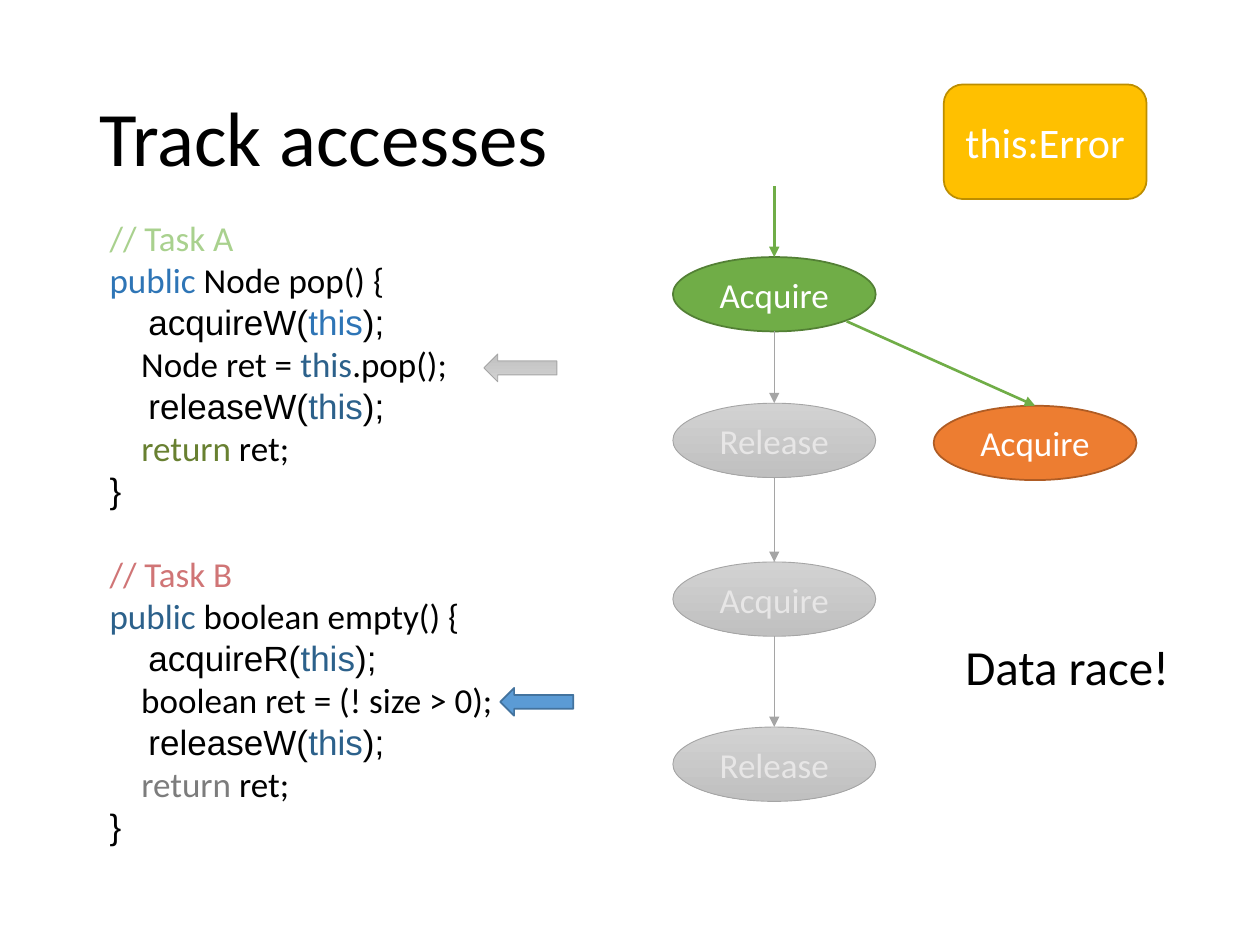
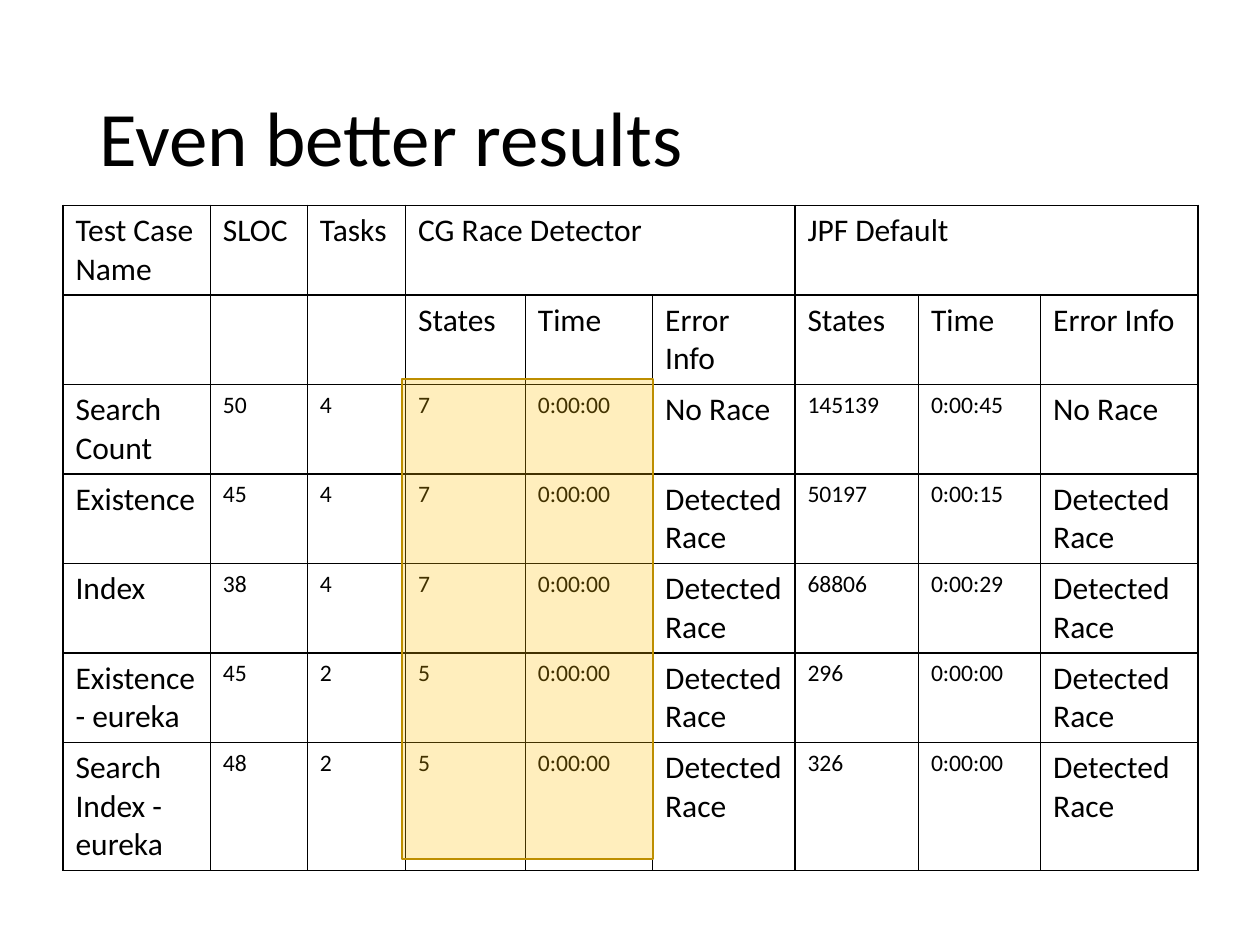
from lxml import etree
from pptx import Presentation
from pptx import util as u
from pptx.dml.color import RGBColor
from pptx.enum import shapes, text
from pptx.oxml.ns import qn

FONT, CODE_FONT = "Calibri", "Arial"
BLACK, WHITE = "000000", "FFFFFF"
GREEN, GREEN_EDGE = "70AD47", "538035"
ORANGE, ORANGE_EDGE = "ED7D31", "AF5C24"
GOLD, GOLD_EDGE = "FFC000", "BD8E00"
BLUE, BLUE_EDGE = "5B9BD5", "43739E"
GREY_TOP, GREY_BOTTOM, GREY_EDGE, GREY_TEXT = "D2D2D2", "C0C0C0", "A5A5A5", "E7E6E6"
BRIGHT_KEYWORD, KEYWORD = "2E75B6", "2C618B"

NODE_SIZE = (1.61, 0.59)
TRACE_LEFT = 5.34
TRACE_X = TRACE_LEFT + NODE_SIZE[0] / 2


def task_call(name, keyword=KEYWORD):
    return CODE_FONT, [(f"    {name}(", BLACK), ("this", keyword), (");", BLACK)]


CLOSING_BRACE = (CODE_FONT, [("}", BLACK)])
TASK_A = [
    (FONT, [("// Task A", "A9D18E")]),
    (FONT, [("public", BRIGHT_KEYWORD), (" Node pop() {", BLACK)]),
    task_call("acquireW", BRIGHT_KEYWORD),
    (FONT, [("    Node ret = ", BLACK), ("this", KEYWORD), (".pop();", BLACK)]),
    task_call("releaseW"),
    (FONT, [("    ", BLACK), ("return", "688031"), (" ret;", BLACK)]),
    CLOSING_BRACE,
]
TASK_B = [
    (FONT, [("// Task B", "D07576")]),
    (FONT, [("public ", KEYWORD), ("boolean empty() {", BLACK)]),
    task_call("acquireR"),
    (FONT, [("    boolean ret = (! size > 0);", BLACK)]),
    task_call("releaseW"),
    (FONT, [("    ", BLACK), ("return ", "7C7C7C"), ("ret;", BLACK)]),
    CLOSING_BRACE,
]

COLUMN_WIDTHS = [1.17, 0.77, 0.78, 0.95, 1.01, 1.13, 0.98, 0.97, 1.25]
ROW_HEIGHTS = [0.64] * 6 + [0.92]
MEASURE_COLUMNS = {1, 2, 3, 4, 6, 7}
HEADER_ROWS = 2
NO_RACE, RACE = "No Race", "Detected Race"
RESULTS = [
    ["Test Case Name", "SLOC", "Tasks", "CG Race Detector", "", "", "JPF Default", "", ""],
    ["", "", ""] + ["States", "Time", "Error Info"] * 2,
    ["Search Count", "50", "4", "7", "0:00:00", NO_RACE, "145139", "0:00:45", NO_RACE],
    ["Existence", "45", "4", "7", "0:00:00", RACE, "50197", "0:00:15", RACE],
    ["Index", "38", "4", "7", "0:00:00", RACE, "68806", "0:00:29", RACE],
    ["Existence - eureka", "45", "2", "5", "0:00:00", RACE, "296", "0:00:00", RACE],
    ["Search Index - eureka", "48", "2", "5", "0:00:00", RACE, "326", "0:00:00", RACE],
]


def rgb(hex_color):
    return RGBColor.from_string(hex_color)


def inches(*lengths):
    return [u.Inches(length) for length in lengths]


def format_run(run, size, color=BLACK, font=FONT):
    run.font.size = u.Pt(size)
    run.font.name = font
    run.font.color.rgb = rgb(color)


def write(frame, words, size, color=BLACK, align=text.PP_ALIGN.LEFT):
    frame.text = words
    paragraph = frame.paragraphs[0]
    paragraph.alignment = align
    for run in paragraph.runs:
        format_run(run, size, color)


def add_titled_slide(prs, words):
    slide = prs.slides.add_slide(prs.slide_layouts[5])
    title = slide.shapes.title
    title.left, title.top, title.width, title.height = inches(0.69, 0.4, 8.62, 1.45)
    frame = title.text_frame
    frame.auto_size = text.MSO_AUTO_SIZE.NONE
    frame.vertical_anchor = text.MSO_ANCHOR.MIDDLE
    write(frame, words, 44)
    frame.paragraphs[0].line_spacing = 0.9
    return slide


def add_figure(slide, preset, box, fill, edge, edge_width=1):
    """Add a preset shape; a fill of None means the faded grey gradient."""
    figure = slide.shapes.add_shape(preset, *inches(*box))
    figure.shadow.inherit = False
    if fill:
        figure.fill.solid()
        figure.fill.fore_color.rgb = rgb(fill)
    else:
        figure.fill.gradient()
        figure.fill.gradient_angle = 270
        for stop, color in zip(figure.fill.gradient_stops, (GREY_TOP, GREY_BOTTOM)):
            stop.color.rgb = rgb(color)
    figure.line.color.rgb = rgb(edge)
    figure.line.width = u.Pt(edge_width)
    return figure


def label(figure, words, size, color):
    figure.text_frame.word_wrap = True
    figure.text_frame.vertical_anchor = text.MSO_ANCHOR.MIDDLE
    write(figure.text_frame, words, size, color, text.PP_ALIGN.CENTER)


def add_node(slide, words, left, top, fill, edge):
    node = add_figure(slide, shapes.MSO_SHAPE.OVAL, (left, top, *NODE_SIZE),
                      fill, edge, 1 if fill else 0.5)
    label(node, words, 20, WHITE if fill else GREY_TEXT)


    return node


def add_arrow_to(slide, start, node, color, width):
    """Draw an arrow from a point to the top of a node."""
    arrow = slide.shapes.add_connector(
        shapes.MSO_CONNECTOR.STRAIGHT, *inches(*start), node.left, node.top)
    arrow.end_connect(node, 0)
    arrow.line.color.rgb = rgb(color)
    arrow.line.width = u.Pt(width)
    properties = arrow.element.spPr
    etree.SubElement(properties.find(qn("a:ln")), qn("a:tailEnd"), type="triangle")
    etree.SubElement(properties, qn("a:effectLst"))


def add_line_marker(slide, left, top, fill, edge, edge_width):
    """Point at a line of code from its right."""
    marker = add_figure(slide, shapes.MSO_SHAPE.RIGHT_ARROW,
                        (left, top, 0.58, 0.22), fill, edge, edge_width)
    marker.rotation = 180


def add_code(slide, box, *tasks):
    frame = slide.shapes.add_textbox(*inches(*box)).text_frame
    frame.word_wrap = True
    frame.margin_left = frame.margin_right = u.Inches(0.05)
    frame.margin_top = frame.margin_bottom = u.Inches(0.05)
    for task_number, task in enumerate(tasks):
        for line_number, (font, pieces) in enumerate(task):
            first = task_number == line_number == 0
            paragraph = frame.paragraphs[0] if first else frame.add_paragraph()
            if task_number and line_number == 0:
                paragraph.space_before = u.Pt(24)
            for words, color in pieces:
                run = paragraph.add_run()
                run.text = words
                format_run(run, 20, color, font)


def add_trace(slide):
    """Add the column of nodes and the task that branches off it."""
    trace = [("Acquire", 2.04), ("Release", 3.2), ("Acquire", 4.46), ("Release", 5.77)]
    arrow_start = 1.48
    for step, (words, top) in enumerate(trace):
        fill, edge = (None, GREY_EDGE) if step else (GREEN, GREEN_EDGE)
        node = add_node(slide, words, TRACE_LEFT, top, fill, edge)
        color, width = (GREY_EDGE, 0.5) if step else (GREEN, 1.5)
        add_arrow_to(slide, (TRACE_X, arrow_start), node, color, width)
        arrow_start = top + NODE_SIZE[1]
    racing_node = add_node(slide, "Acquire", 7.41, 3.22, ORANGE, ORANGE_EDGE)
    add_arrow_to(slide, (6.72, 2.55), racing_node, GREEN, 1.5)


def add_borders(cell):
    properties = cell._tc.get_or_add_tcPr()
    for position, side in enumerate(("a:lnL", "a:lnR", "a:lnT", "a:lnB")):
        border = etree.Element(qn(side), w=str(u.Pt(1)))
        fill = etree.SubElement(border, qn("a:solidFill"))
        etree.SubElement(fill, qn("a:srgbClr"), val=BLACK)
        properties.insert(position, border)


def add_results_table(slide):
    table = slide.shapes.add_table(
        len(RESULTS), len(COLUMN_WIDTHS), *inches(0.5, 1.63, 9, 5.2)).table
    table.first_row = table.horz_banding = False
    for column, width in zip(table.columns, COLUMN_WIDTHS):
        column.width = u.Inches(width)
    for row, height in zip(table.rows, ROW_HEIGHTS):
        row.height = u.Inches(height)
    for r, values in enumerate(RESULTS):
        for c, value in enumerate(values):
            cell = table.cell(r, c)
            measured = r >= HEADER_ROWS and c in MEASURE_COLUMNS
            write(cell.text_frame, value, 13.5 if measured else 18)
            cell.fill.background()
            add_borders(cell)
    for first in (3, 6):
        table.cell(0, first).merge(table.cell(0, first + 2))


def add_highlight(slide, box):
    highlight = add_figure(slide, shapes.MSO_SHAPE.RECTANGLE, box, GOLD, GOLD_EDGE)
    color = highlight.element.spPr.find(qn("a:solidFill"))[0]
    etree.SubElement(color, qn("a:alpha"), val="26000")


def build_tracking_slide(prs):
    slide = add_titled_slide(prs, "Track accesses")
    add_code(slide, (0.82, 1.67, 3.6, 5.15), TASK_A, TASK_B)
    state = add_figure(slide, shapes.MSO_SHAPE.ROUNDED_RECTANGLE,
                       (7.49, 0.67, 1.61, 0.91), GOLD, GOLD_EDGE)
    label(state, "this:Error", 24, WHITE)
    add_trace(slide)
    add_line_marker(slide, 3.97, 5.46, BLUE, BLUE_EDGE, 1)
    add_line_marker(slide, 3.84, 2.81, None, GREY_EDGE, 0.5)
    verdict = slide.shapes.add_textbox(*inches(7.41, 5, 2.12, 0.57)).text_frame
    verdict.word_wrap = True
    write(verdict, "Data race!", 28, align=text.PP_ALIGN.CENTER)


def build_results_slide(prs):
    slide = add_titled_slide(prs, "Even better results")
    add_results_table(slide)
    add_highlight(slide, (3.19, 3.01, 1.99, 3.81))


def main():
    prs = Presentation()
    prs.slide_width, prs.slide_height = inches(10, 7.5)
    build_tracking_slide(prs)
    build_results_slide(prs)
    prs.save("out.pptx")


if __name__ == "__main__":
    main()
